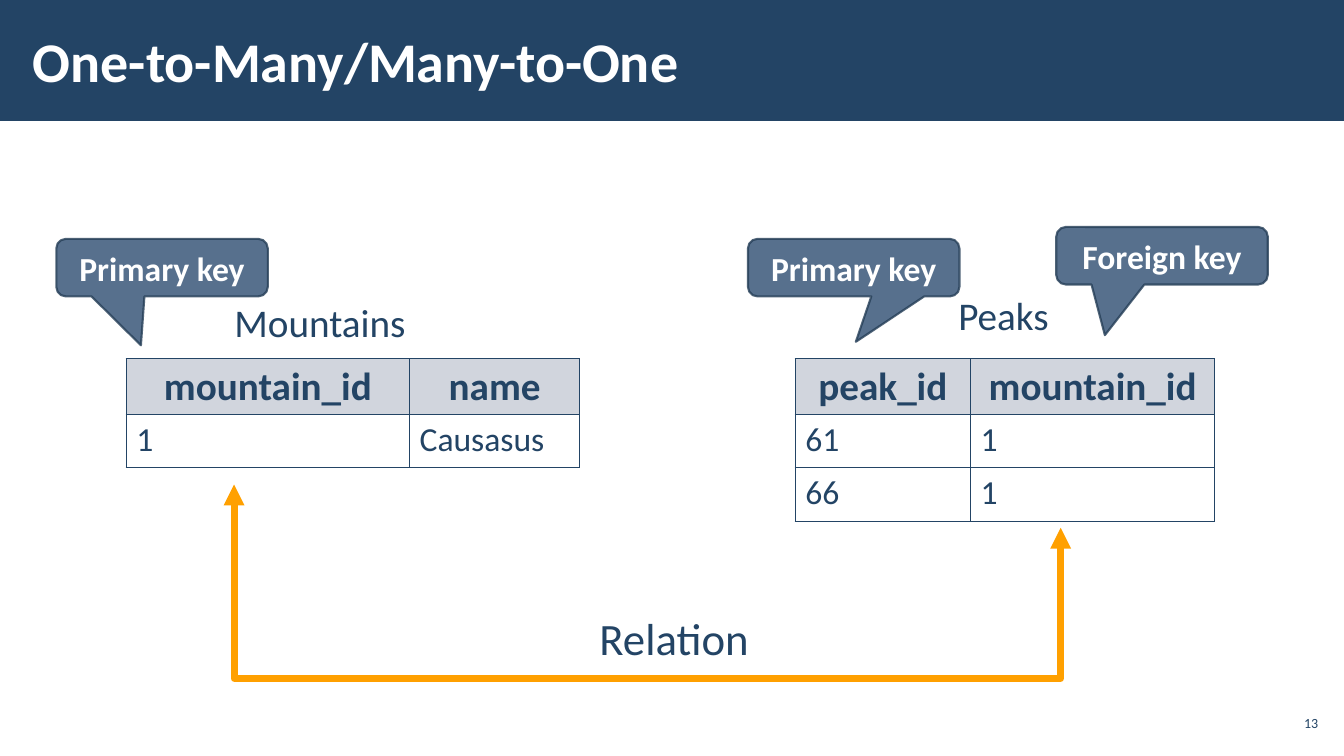
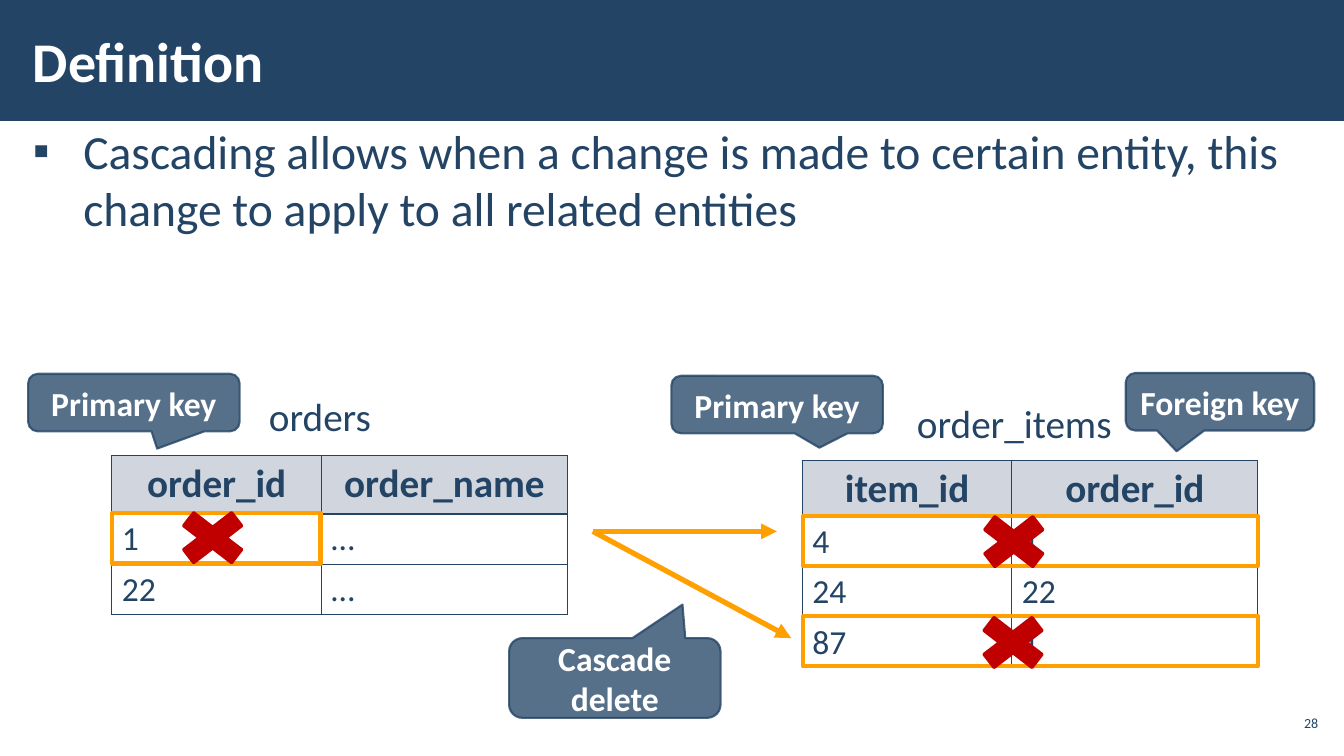
from lxml import etree
from pptx import Presentation
from pptx.dml.color import RGBColor
from pptx.enum.shapes import MSO_CONNECTOR, MSO_SHAPE
from pptx.enum.text import MSO_ANCHOR, MSO_AUTO_SIZE, PP_ALIGN
from pptx.oxml.ns import qn
from pptx.util import Cm, Pt

CALLOUT = MSO_SHAPE.ROUNDED_RECTANGULAR_CALLOUT
RECTANGLE = MSO_SHAPE.RECTANGLE
CROSS = MSO_SHAPE.MATH_MULTIPLY
STRAIGHT = MSO_CONNECTOR.STRAIGHT
ELBOW = MSO_CONNECTOR.ELBOW
MIDDLE = MSO_ANCHOR.MIDDLE
LEFT, CENTER, RIGHT = PP_ALIGN.LEFT, PP_ALIGN.CENTER, PP_ALIGN.RIGHT
NO_AUTOFIT = MSO_AUTO_SIZE.NONE

FONT = "Calibri"
NAVY = "234465"
WHITE = "FFFFFF"
ORANGE = "FFA000"
RED = "C00000"
HEADER_FILL = "D1D5DD"
TITLE_ONLY, TITLE_AND_CONTENT = 5, 1
TABLE_BORDERS = ("a:lnL", "a:lnR", "a:lnT", "a:lnB")

rgb = RGBColor.from_string


def write_text(text_frame, text, size, color=NAVY, bold=False, alignment=LEFT):
    text_frame.text = text
    paragraph = text_frame.paragraphs[0]
    paragraph.alignment = alignment
    font = paragraph.runs[0].font
    font.name = FONT
    font.size = Pt(size)
    font.bold = bold
    font.color.rgb = rgb(color)
    return paragraph


def add_outlined(slide, kind, box, line_color, line_width, fill_color=None):
    shape = slide.shapes.add_shape(kind, *map(Cm, box))
    shape.shadow.inherit = False
    if fill_color:
        shape.fill.solid()
        shape.fill.fore_color.rgb = rgb(fill_color)
    else:
        shape.fill.background()
    shape.line.color.rgb = rgb(line_color)
    shape.line.width = Pt(line_width)
    return shape


slides = [
    {
        "title": "One-to-Many/Many-to-One",
        "number": "13",
        "callout_colors": ("4F6987", "253E57"),
        "labels": [
            ("Mountains", (5.66, 7.39, 4.88, 1.45), 28, LEFT),
            ("Peaks", (23.9, 7.21, 2.82, 1.45), 28, LEFT),
            ("Relation", (14.45, 15.27, 5.08, 1.63), 32, CENTER),
        ],
        "callouts": [
            ("Primary key", (1.42, 6.02, 5.33, 1.45), (-0.1, 1.35)),
            ("Primary key", (18.85, 6.02, 5.33, 1.45), (0.01, 1.29)),
            ("Foreign key", (26.62, 5.72, 5.33, 1.45), (-0.27, 1.38)),
        ],
        "connectors": [(ELBOW, (16.86, 2.34, 15.77, 23.17), 5)],
        "tables": [
            ((3.18, 9.04), (7.14, 4.29), (1.4, 1.35),
             [("mountain_id", "name"), ("1", "Causasus")]),
            ((20.04, 9.04), (4.42, 6.15), (1.4, 1.35),
             [("peak_id", "mountain_id"), ("61", "1"), ("66", "1")]),
        ],
        "frames": [],
        "crosses": [],
    },
    {
        "title": "Definition",
        "number": "28",
        "body": "Cascading allows when a change is made to certain entity, "
                "this change to apply to all related entities",
        "callout_colors": ("4F6984", NAVY),
        "labels": [
            ("orders", (6.53, 9.75, 3.12, 1.45), 28, LEFT),
            ("order_items", (22.86, 9.93, 5.64, 1.45), 28, LEFT),
        ],
        "callouts": [
            ("Primary key", (0.71, 9.42, 5.33, 1.45), (0.11, 0.8)),
            ("Primary key", (16.92, 9.47, 5.33, 1.45), (0.2, 0.75)),
            ("Foreign key", (28.37, 9.4, 4.75, 1.45), (-0.23, 0.86)),
            ("Cascade delete", (12.83, 16.08, 5.33, 2.01), (0.32, -0.92)),
        ],
        "connectors": [
            (STRAIGHT, (14.94, 13.39, 19.58, 13.39), 3.75),
            (STRAIGHT, (14.94, 13.39, 19.94, 16.08), 3.75),
        ],
        "tables": [
            ((2.82, 11.48), (5.28, 6.2), (1.47, 1.27),
             [("order_id", "order_name"), ("1", "…"), ("22", "…")]),
            ((20.22, 11.61), (5.28, 6.2), (1.4, 1.27),
             [("item_id", "order_id"), ("4", "1"), ("24", "22"), ("87", "1")]),
        ],
        "frames": [
            (2.82, 12.93, 5.26, 1.27),
            (20.24, 13, 11.46, 1.27),
            (20.24, 15.52, 11.46, 1.27),
        ],
        "crosses": [(4.19, 12.65), (24.38, 12.75), (24.36, 15.29)],
    },
]

presentation = Presentation()
presentation.slide_width = Cm(33.87)
presentation.slide_height = Cm(19.05)

for index, content in enumerate(slides):
    layout = TITLE_AND_CONTENT if "body" in content else TITLE_ONLY
    slide = presentation.slides.add_slide(presentation.slide_layouts[layout])

    if index == 0:
        band = add_outlined(slide, RECTANGLE, (0, 0, 33.87, 3.05), NAVY, 0, NAVY)
        band.line.fill.background()
        presentation.slide_master.shapes.element.insert(2, band.element)

    placeholders = [(slide.shapes.title, (0.53, 0.28, 26.39, 2.46))]
    if "body" in content:
        placeholders.append((slide.placeholders[1], (0.53, 2.97, 32.79, 15.47)))
    for placeholder, box in placeholders:
        placeholder.left, placeholder.top, placeholder.width, placeholder.height = map(Cm, box)
        text_frame = placeholder.text_frame
        text_frame.auto_size = NO_AUTOFIT
        text_frame.margin_left = text_frame.margin_right = Cm(0.3)
        text_frame.margin_top = text_frame.margin_bottom = Cm(0.1)

    slide.shapes.title.text_frame.vertical_anchor = MIDDLE
    write_text(slide.shapes.title.text_frame, content["title"], 40, WHITE, True)

    if "body" in content:
        paragraph = write_text(slide.placeholders[1].text_frame, content["body"], 34)
        paragraph.space_before = paragraph.space_after = Pt(6)
        properties = paragraph._p.get_or_add_pPr()
        properties.set("marL", str(Cm(1.27)))
        properties.set("indent", str(-Cm(1.27)))
        etree.SubElement(properties, qn("a:buChar"), char="▪")

    number_box = slide.shapes.add_textbox(Cm(32.13), Cm(17.78), Cm(1.19), Cm(0.86))
    number_frame = number_box.text_frame
    number_frame.word_wrap = True
    number_frame.vertical_anchor = MIDDLE
    number_frame.margin_left = number_frame.margin_right = Cm(0.1)
    number_frame.margin_top = number_frame.margin_bottom = Cm(0.1)
    write_text(number_frame, content["number"], 10, alignment=RIGHT)

    for text, box, size, alignment in content["labels"]:
        label = slide.shapes.add_textbox(*map(Cm, box))
        label.text_frame.word_wrap = alignment == CENTER
        write_text(label.text_frame, text, size, alignment=alignment)

    fill_color, line_color = content["callout_colors"]
    for text, box, pointer in content["callouts"]:
        callout = add_outlined(slide, CALLOUT, box, line_color, 1.5, fill_color)
        callout.adjustments[0], callout.adjustments[1] = pointer
        colors = callout.element.spPr.iter(qn("a:srgbClr"))
        for color, opacity in zip(colors, ("95000", "80000")):
            etree.SubElement(color, qn("a:alpha"), val=opacity)
        callout.text_frame.word_wrap = True
        callout.text_frame.vertical_anchor = MIDDLE
        write_text(callout.text_frame, text, 24, WHITE, True, CENTER)

    for kind, ends, width in content["connectors"]:
        connector = slide.shapes.add_connector(kind, *map(Cm, ends))
        connector.line.color.rgb = rgb(ORANGE)
        connector.line.width = Pt(width)
        line = connector.get_or_add_ln()
        properties = connector.element.spPr
        if kind == ELBOW:
            properties.find(qn("a:xfrm")).set("rot", "16200000")
            guides = properties.find(qn("a:prstGeom")).find(qn("a:avLst"))
            etree.SubElement(guides, qn("a:gd"), name="adj1", fmla="val 448300")
            etree.SubElement(line, qn("a:headEnd"), type="triangle")
        etree.SubElement(line, qn("a:tailEnd"), type="triangle")
        etree.SubElement(properties, qn("a:effectLst"))

    for position, widths, (header_height, row_height), rows in content["tables"]:
        heights = [header_height] + [row_height] * (len(rows) - 1)
        size = (sum(widths), sum(heights))
        table = slide.shapes.add_table(
            len(rows), len(widths), *map(Cm, position + size)).table
        table.horz_banding = False
        for column, width in zip(table.columns, widths):
            column.width = Cm(width)
        for row_index, (row, height, texts) in enumerate(zip(table.rows, heights, rows)):
            row.height = Cm(height)
            for cell, text in zip(row.cells, texts):
                for border in TABLE_BORDERS:
                    line = etree.SubElement(
                        cell._tc.get_or_add_tcPr(), qn(border), w=str(Pt(1)))
                    line_fill = etree.SubElement(line, qn("a:solidFill"))
                    etree.SubElement(line_fill, qn("a:srgbClr"), val=NAVY)
                if row_index == 0:
                    cell.fill.solid()
                    cell.fill.fore_color.rgb = rgb(HEADER_FILL)
                    cell.margin_left = cell.margin_right = Cm(0.43)
                    paragraph = write_text(cell.text_frame, text, 28, NAVY, True, CENTER)
                    paragraph.line_spacing = 0.95
                else:
                    cell.fill.background()
                    write_text(cell.text_frame, text, 24)

    for box in content["frames"]:
        add_outlined(slide, RECTANGLE, box, ORANGE, 3)
    for position in content["crosses"]:
        add_outlined(slide, CROSS, position + (2.34, 1.8), RED, 2, RED)

presentation.save("out.pptx")
